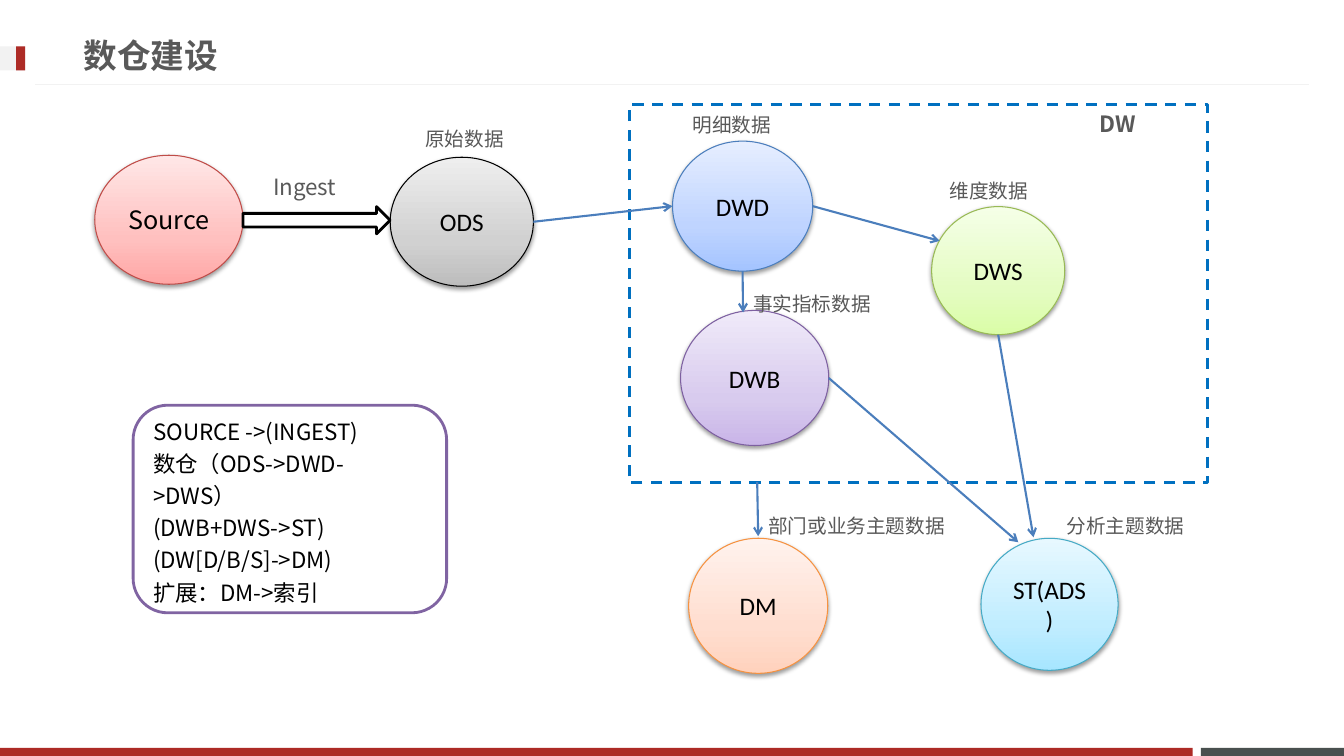
from copy import deepcopy
from dataclasses import dataclass

from lxml import etree
from pptx import Presentation
from pptx import util as u
from pptx.dml.color import RGBColor
from pptx.enum import dml, shapes, text
from pptx.oxml import ns

Point = tuple[float, float]
Box = tuple[float, float, float, float]


@dataclass(frozen=True)
class Theme:
    body_font: str = "Noto Sans CJK JP"
    node_font: str = "Calibri"
    title_font: str = "Roboto"
    title_size: int = 24
    node_size: int = 18
    body_size: int = 16
    label_size: int = 14
    black: str = "000000"
    white: str = "FFFFFF"
    gray: str = "595959"
    pale: str = "F2F2F2"
    red: str = "AD2B26"
    slate: str = "49504F"
    arrow: str = "4B7EBC"
    frame: str = "0070C0"
    note: str = "8064A2"


THEME = Theme()


@dataclass(frozen=True)
class Node:
    name: str
    box: Box
    gradient: tuple[str, str, str]
    outline: str
    font: str = THEME.node_font

    @property
    def left(self) -> Point:
        return self.box[0], self.box[1] + self.box[3] / 2

    @property
    def right(self) -> Point:
        return self.box[0] + self.box[2], self.box[1] + self.box[3] / 2

    @property
    def bottom(self) -> Point:
        return self.box[0] + self.box[2] / 2, self.box[1] + self.box[3]


@dataclass(frozen=True)
class Label:
    words: str
    box: Box
    size: int = THEME.label_size
    bold: bool = False
    font: str = THEME.body_font


SOURCE = Node("Source", (0.94, 1.54, 1.47, 1.28), ("FFA6A5", "FFC0BF", "FFE7E7"), "BF4C48", THEME.body_font)
ODS = Node("ODS", (3.87, 1.56, 1.42, 1.28), ("BDBDBD", "D1D1D1", "EEEEEE"), "000000")
DWD = Node("DWD", (6.67, 1.4, 1.39, 1.29), ("A4C4FF", "BFD4FF", "E6EEFF"), "4B7EBC")
DWS = Node("DWS", (9.24, 2.05, 1.32, 1.27), ("DAFDA7", "E4FCC2", "F5FFE7"), "98B955")
DWB = Node("DWB", (6.75, 3.08, 1.47, 1.34), ("C9B5E8", "D8CBEE", "F0EAF9"), "7D60A0")
ST = Node("ST(ADS)", (9.73, 5.34, 1.36, 1.31), ("A7E6FF", "C1EDFF", "E7F8FF"), "46AAC5")
DM = Node("DM", (6.83, 5.34, 1.38, 1.34), ("FFD2BD", "FFDED0", "FFF2ED"), "F69240")
NODES = (SOURCE, ODS, DWD, DWS, DWB, ST, DM)

ARROWS: tuple[tuple[Point, Point], ...] = (
    (ODS.right, DWD.left),
    (DWD.bottom, (7.37, 3.1)),
    (DWD.right, (9.32, 2.39)),
    ((7.51, 4.78), (7.52, 5.32)),
    (DWB.right, (10.1, 5.38)),
    (DWS.bottom, (10.25, 5.33)),
)

LABELS = (
    Label("Ingest", (2.61, 1.67, 1.05, 0.37), THEME.body_size),
    Label("DW", (10.81, 1.04, 0.61, 0.37), THEME.body_size, True),
    Label("原始数据", (4.12, 1.21, 1.06, 0.34)),
    Label("明细数据", (6.77, 1.07, 1.06, 0.34)),
    Label("维度数据", (9.32, 1.72, 1.06, 0.34)),
    Label("事实指标数据", (7.37, 2.84, 1.39, 0.34)),
    Label("部门或业务主题数据", (7.52, 5.04, 1.98, 0.34)),
    Label("分析主题数据", (10.48, 5.04, 1.39, 0.34)),
)

NOTE_LINES = (
    "SOURCE ->(INGEST)",
    "数仓（ODS->DWD->DWS）",
    "(DWB+DWS->ST)",
    "(DW[D/B/S]->DM)",
    "扩展：DM->索引",
)

BARS: tuple[tuple[Box, str], ...] = (
    ((11.91, 7.42, 1.42, 0.08), THEME.slate),
    ((0, 7.42, 11.83, 0.08), THEME.red),
    ((0, 0.46, 0.25, 0.24), THEME.pale),
    ((0.16, 0.46, 0.09, 0.24), THEME.red),
)


def rgb(color: str) -> RGBColor:
    return RGBColor.from_string(color)


def add_run(paragraph, words: str, size: int, color: str, font: str, bold: bool = False) -> None:
    run = paragraph.add_run()
    run.text = words
    run.font.size = u.Pt(size)
    run.font.name = font
    run.font.bold = bold
    run.font.color.rgb = rgb(color)
    east_asian = etree.SubElement(run.font._element, ns.qn("a:ea"))
    east_asian.set("typeface", font)


def add_box(slide, kind, box: Box, fill: str | None = None, line: str | None = None, width: float = 2):
    shape = slide.shapes.add_shape(kind, *map(u.Inches, box))
    shape.shadow.inherit = False
    if fill:
        shape.fill.solid()
        shape.fill.fore_color.rgb = rgb(fill)
    else:
        shape.fill.background()
    if line:
        shape.line.color.rgb = rgb(line)
        shape.line.width = u.Pt(width)
    else:
        shape.line.fill.background()
    return shape


def add_soft_shadow(shape) -> None:
    effects = shape._element.spPr.find(ns.qn("a:effectLst"))
    shadow = etree.SubElement(effects, ns.qn("a:outerShdw"), blurRad="40000", dist="20000",
                              dir="5400000", rotWithShape="0")
    color = etree.SubElement(shadow, ns.qn("a:srgbClr"), val=THEME.black)
    etree.SubElement(color, ns.qn("a:alpha"), val="38000")


def fill_gradient(shape, colors: tuple[str, str, str]) -> None:
    """Run three colours from the bottom of the shape to its top."""
    shape.fill.gradient()
    shape.fill.gradient_angle = 90
    stop_list = shape._element.spPr.find(".//" + ns.qn("a:gsLst"))
    stop_list.append(deepcopy(stop_list[0]))
    for stop, position, color in zip(shape.fill.gradient_stops, (0, 0.35, 1), colors):
        stop.position = position
        stop.color.rgb = rgb(color)


def add_node(slide, node: Node) -> None:
    shape = add_box(slide, shapes.MSO_SHAPE.OVAL, node.box, line=node.outline, width=0.75)
    fill_gradient(shape, node.gradient)
    add_soft_shadow(shape)
    shape.text_frame.vertical_anchor = text.MSO_ANCHOR.MIDDLE
    paragraph = shape.text_frame.paragraphs[0]
    paragraph.alignment = text.PP_ALIGN.CENTER
    add_run(paragraph, node.name, THEME.node_size, THEME.black, node.font)


def add_line(slide, start: Point, end: Point, color: str, width: float, arrow: bool = False) -> None:
    connector = slide.shapes.add_connector(shapes.MSO_CONNECTOR.STRAIGHT, *map(u.Inches, start + end))
    connector.line.color.rgb = rgb(color)
    connector.line.width = u.Pt(width)
    if arrow:
        etree.SubElement(connector.line._get_or_add_ln(), ns.qn("a:tailEnd"), type="arrow")
    etree.SubElement(connector._element.spPr, ns.qn("a:effectLst"))


def add_label(slide, label: Label) -> None:
    frame = slide.shapes.add_textbox(*map(u.Inches, label.box)).text_frame
    frame.word_wrap = True
    frame.vertical_anchor = text.MSO_ANCHOR.MIDDLE
    add_run(frame.paragraphs[0], label.words, label.size, THEME.gray, label.font, label.bold)


def add_note(slide) -> None:
    note = add_box(slide, shapes.MSO_SHAPE.ROUNDED_RECTANGLE, (1.32, 4.02, 3.11, 2.06), THEME.white, THEME.note)
    frame = note.text_frame
    frame.vertical_anchor = text.MSO_ANCHOR.MIDDLE
    for index, words in enumerate(NOTE_LINES):
        paragraph = frame.add_paragraph() if index else frame.paragraphs[0]
        paragraph.alignment = text.PP_ALIGN.LEFT
        paragraph.line_spacing = 1.2
        add_run(paragraph, words, THEME.body_size, THEME.black, THEME.body_font)


def main() -> None:
    presentation = Presentation()
    presentation.slide_width = u.Inches(13.33)
    presentation.slide_height = u.Inches(7.5)
    slide = presentation.slides.add_slide(presentation.slide_layouts[6])

    for box, color in BARS:
        add_box(slide, shapes.MSO_SHAPE.RECTANGLE, box, color)
    add_line(slide, (12.98, 0.84), (0.35, 0.84), THEME.pale, 0.75)
    add_label(slide, Label("数仓建设", (0.73, 0.26, 9.59, 0.57), THEME.title_size, True, THEME.title_font))

    for node in NODES:
        add_node(slide, node)
    add_box(slide, shapes.MSO_SHAPE.RIGHT_ARROW, (2.41, 2.05, 1.46, 0.27), THEME.white, THEME.black)
    warehouse = add_box(slide, shapes.MSO_SHAPE.RECTANGLE, (6.24, 1.04, 5.74, 3.75), line=THEME.frame)
    warehouse.line.dash_style = dml.MSO_LINE.DASH
    for start, end in ARROWS:
        add_line(slide, start, end, THEME.arrow, 1.5, arrow=True)
    add_note(slide)
    for label in LABELS:
        add_label(slide, label)

    presentation.save("out.pptx")


if __name__ == "__main__":
    main()
